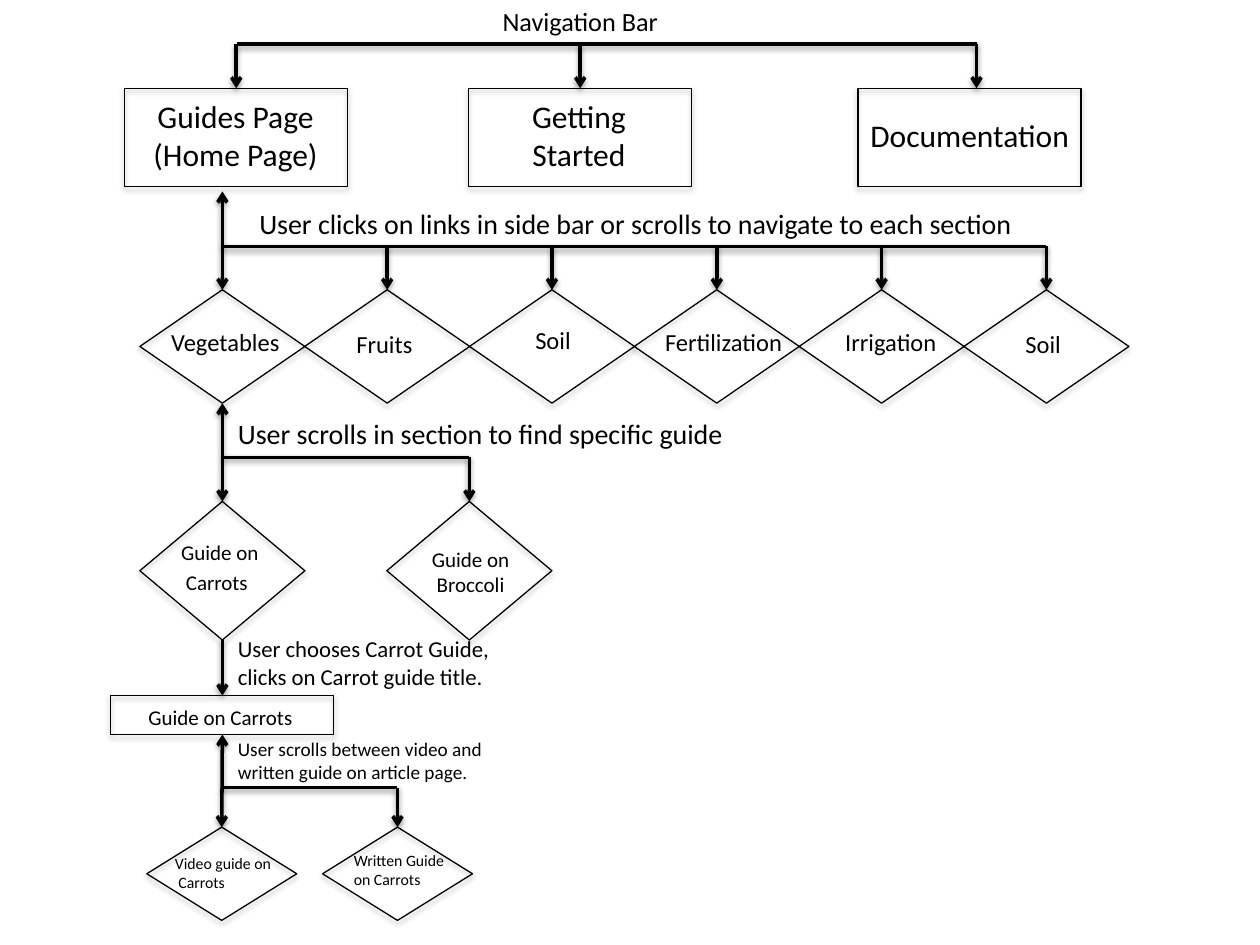
from lxml import etree
from pptx import Presentation
from pptx import util as u
from pptx.dml.color import RGBColor
from pptx.enum import shapes, text
from pptx.oxml import ns

BLACK = RGBColor(0x00, 0x00, 0x00)
COLUMNS, ROWS = 100, 75
FONT = "Calibri"
LEFT, CENTER = text.PP_ALIGN.LEFT, text.PP_ALIGN.CENTER
RECT, DIAMOND = shapes.MSO_SHAPE.RECTANGLE, shapes.MSO_SHAPE.DIAMOND
TOP, BOTTOM = 0, 2  # connection sites
SNAP = 0.3  # columns within which an arrow joins the middle of a side


class FlowChart:
    """Style and current slide; lengths are columns and rows of the grid."""

    def __init__(self, deck):
        self.column = deck.slide_width / COLUMNS
        self.row = deck.slide_height / ROWS
        self.page = deck.slides.add_slide(deck.slide_layouts[6])

    def place(self, *lengths):
        units = (self.column, self.row) * 2
        return [u.Emu(round(n * unit)) for n, unit in zip(lengths, units)]

    def outline(self, item, width, opacity, distance):
        """Black line with a soft shadow below it."""
        item.line.color.rgb = BLACK
        item.line.width = u.Pt(width)
        effects = etree.SubElement(item._element.spPr, ns.qn("a:effectLst"))
        shadow = etree.SubElement(
            effects, ns.qn("a:outerShdw"), blurRad=str(u.Pt(3.1)),
            dist=str(u.Pt(distance)), dir="5400000", rotWithShape="0")
        color = etree.SubElement(shadow, ns.qn("a:srgbClr"), val=str(BLACK))
        etree.SubElement(color, ns.qn("a:alpha"), val=str(opacity * 1000))

    def node(self, kind, left, top, width, height):
        shape = self.page.shapes.add_shape(kind, *self.place(left, top, width, height))
        shape.fill.background()
        self.outline(shape, 0.75, 35, 1.8)
        return shape

    def label(self, lines, left, top, width, height, size, align=LEFT, wrap=True):
        box = self.page.shapes.add_textbox(*self.place(left, top, width, height))
        frame = box.text_frame
        frame.text = lines
        frame.word_wrap = wrap
        frame.auto_size = text.MSO_AUTO_SIZE.SHAPE_TO_FIT_TEXT
        for para in frame.paragraphs:
            para.alignment = align
            for span in para.runs:
                self.style(span, size)
        return box

    def style(self, span, size):
        for name, value in {"name": FONT, "size": u.Pt(size)}.items():
            setattr(span.font, name, value)
        span.font.color.rgb = BLACK

    def line(self, start, end, head=False, tail=False, source=None, target=None):
        connector = self.page.shapes.add_connector(
            shapes.MSO_CONNECTOR.STRAIGHT, *self.place(*start, *end))
        if source is not None:
            connector.begin_connect(source, BOTTOM)
        if target is not None:
            connector.end_connect(target, TOP)
        self.outline(connector, 2, 38, 1.6)
        for name, shown in {"a:headEnd": head, "a:tailEnd": tail}.items():
            if shown:
                etree.SubElement(connector.line._get_or_add_ln(), ns.qn(name), type="arrow")

    def middle(self, node):
        return (node.left + node.width / 2) / self.column

    def link(self, upper, lower, both_ways=True):
        """Arrow from the bottom of one node to the top of the next."""
        self.line((0, 0), (0, 0), both_ways, True, upper, lower)

    def drop(self, bar, node, column=None):
        """Arrow from a horizontal bar down to a node."""
        middle = self.middle(node)
        column = middle if column is None else column
        joined = abs(column - middle) <= SNAP
        column = middle if joined else column
        self.line((column, bar), (column, node.top / self.row),
                  tail=True, target=node if joined else None)


def build_navigation(chart):
    bar = 3.5
    chart.label("Navigation Bar", 38.9, -0.1, 14.6, 3.5, 15, wrap=False)
    pages = [  # node left, arrow column, text, text box, alignment
        (9.9, 18.8, "Guides Page\n(Home Page)", (9.7, 7.2, 18, 7.1), CENTER),
        (37.2, 45.8, "Getting Started", (37.8, 7.2, 16.3, 7.1), CENTER),
        (68.1, 77.5, "Documentation", (68.1, 8.7, 18, 4), LEFT),
    ]
    for left, column, words, area, align in pages:
        node = chart.node(RECT, left, 7, 17.7, 7.8)
        chart.label(words, *area, 18, align)
        chart.drop(bar, node, column)
    chart.line((18.8, bar), (77.5, bar))


def build_sections(chart):
    bar, left, step = 19.55, 11.1, 13.08
    sections = [  # text, text box left and top
        ("Vegetables", 12.6, 25.5), ("Fruits", 27.3, 25.6), ("Soil", 41.5, 25.3),
        ("Fertilization", 51.8, 25.5), ("Irrigation", 66.1, 25.5), ("Soil", 80.4, 25.6),
    ]
    nodes = []
    for i, (words, x, y) in enumerate(sections):
        node = chart.node(DIAMOND, left + i * step, 23, 13.1, 9)
        chart.label(words, x, y, 11.4, 3.4, 14)
        chart.drop(bar, node)
        nodes.append(node)
    first, last = chart.middle(nodes[0]), chart.middle(nodes[-1])
    chart.line((first, bar), (last, bar))
    chart.line((first, bar), (first, 15.2), tail=True)  # back to the home page
    chart.label("User clicks on links in side bar or scrolls to navigate to each section",
                19.6, 15.9, 62.7, 3.7, 16, wrap=False)
    return nodes[0]


def build_branch(chart, parent, bar, first, second):
    """Two-way link to the first node and a side arrow to the second."""
    chart.link(parent, first)
    chart.line((chart.middle(first), bar), (chart.middle(second), bar))
    chart.drop(bar, second)


def build_guides(chart, vegetables):
    carrots, broccoli = [chart.node(DIAMOND, x, 39.8, 13.1, 11) for x in (11.1, 30.7)]
    build_branch(chart, vegetables, 36.3, carrots, broccoli)
    box = chart.label("Guide on Carrots", 13.1, 42.3, 8.7, 5.6, 12, CENTER)
    span = box.text_frame.paragraphs[0].add_run()
    span.text = " "
    chart.style(span, 15)
    chart.label("Guide on Broccoli", 33, 42.9, 8.7, 5, 12, CENTER)
    chart.label("User scrolls in section to find specific guide",
                17.9, 32.6, 41, 3.7, 16, wrap=False)
    return carrots


def build_article(chart, carrots):
    article = chart.node(RECT, 8.8, 55.2, 17.7, 3.1)
    chart.label("Guide on Carrots", 10.8, 55.4, 13.7, 5, 12, wrap=False)
    chart.link(carrots, article, both_ways=False)
    chart.label("User chooses Carrot Guide, clicks on Carrot guide title.",
                17.9, 49.9, 22.7, 5.4, 13)

    # Video and written versions
    video, written = [chart.node(DIAMOND, x, 65.65, 11.9, 7.4) for x in (11.65, 25.6)]
    build_branch(chart, article, 62.5, video, written)
    chart.label("Video guide on\n Carrots", 12.9, 67.3, 12.3, 5.7, 9)
    chart.label("Written Guide\non Carrots", 27.1, 67, 14.8, 5.7, 9)
    chart.label("User scrolls between video and written guide on article page.",
                17.9, 58, 22.7, 4.7, 11)


def main():
    deck = Presentation()
    deck.slide_width, deck.slide_height = u.Inches(10), u.Inches(7.5)
    chart = FlowChart(deck)
    build_navigation(chart)
    vegetables = build_sections(chart)
    carrots = build_guides(chart, vegetables)
    build_article(chart, carrots)
    deck.save("out.pptx")


if __name__ == "__main__":
    main()
